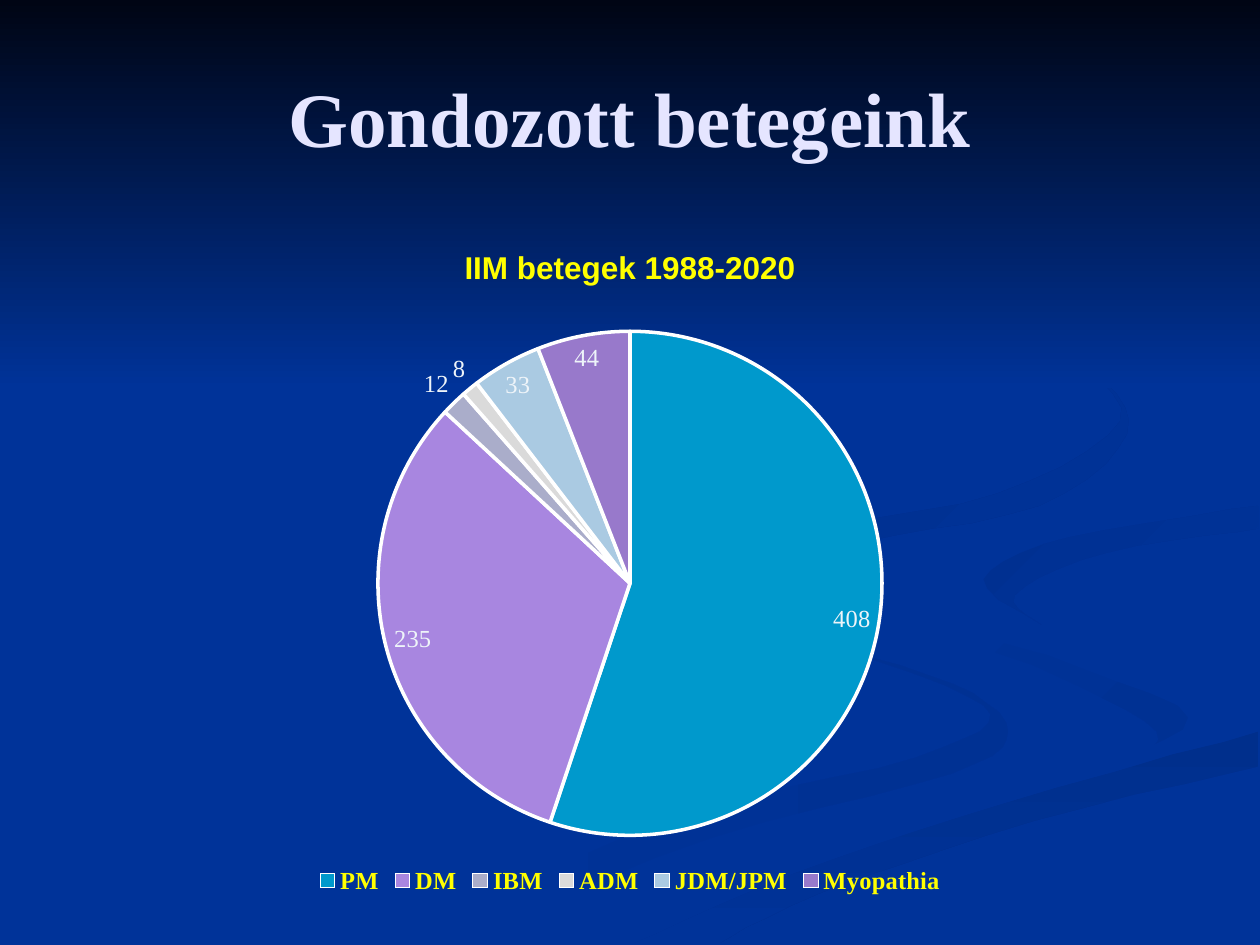
"""Builds the slide with the pie chart of patients in care."""
from pptx import Presentation
from pptx.chart.data import CategoryChartData
from pptx.dml.color import RGBColor
from pptx.enum.chart import XL_CHART_TYPE as Chart, XL_LABEL_POSITION as LabelPos, XL_LEGEND_POSITION as LegendPos
from pptx.enum.shapes import MSO_SHAPE as Shape
from pptx.enum.text import MSO_ANCHOR as Anchor, PP_ALIGN as Align
from pptx.util import Pt

WIDTH, HEIGHT = 720, 540
STEPS = 5
BLUE = "003399"
SERIF, SANS = "Times New Roman", "Arial"
TITLE = "Gondozott betegeink"
CHART_TITLE = "IIM betegek 1988-2020"
PATIENTS = [
    ("PM", 408, "0099CC"),
    ("DM", 235, "A886E0"),
    ("IBM", 12, "AAADCA"),
    ("ADM", 8, "DADADA"),
    ("JDM/JPM", 33, "AACAE2"),
    ("Myopathia", 44, "9879CB"),
]
FONTS = {
    "title": dict(name=SERIF, size=Pt(44), bold=True, color="E5E5FF"),
    "chart": dict(name=SERIF, size=Pt(10), color="FFFFFF"),
    "chart title": dict(name=SANS, size=Pt(18), bold=True, color="FFFF00"),
    "legend": dict(name=SERIF, size=Pt(14), bold=True, color="FFFF00"),
    "labels": dict(name=SERIF, size=Pt(14), bold=False, color="EEF4F9"),
}
SHARED_EDGE = [(362, 539), (454, 499), (574, 459), (719, 418)]
SWOOSHES = [
    (BLUE, "003193", 0, [
        [(414, 330), (420, 343), (462, 365), (545, 391), (576, 418), (544, 442), (406, 479), (260, 539)],
        [(216, 539), (388, 467), (523, 433), (566, 408), (514, 382), (433, 356), (410, 337)],
    ]),
    (BLUE, "003193", 45, [
        [(521, 334), (546, 359), (626, 382), (679, 410), (644, 436)],
        [(644, 436), (661, 418), (603, 386), (537, 360), (521, 334)],
    ]),
    ("002F8C", BLUE, 90, [
        [(411, 539), (467, 511), (591, 469), (719, 438)],
        SHARED_EDGE[::-1],
    ]),
    (BLUE, BLUE, 0, [
        SHARED_EDGE,
        [(719, 387), (624, 366), (562, 333), (612, 307), (719, 289)],
        [(719, 279), (582, 300), (522, 334), (598, 374), (679, 410), (607, 445), (446, 492), (343, 539)],
    ]),
    ("003091", BLUE, 45, [
        [(595, 357), (580, 340), (632, 316), (719, 302)],
        [(719, 289), (611, 307), (562, 331), (595, 357)],
    ]),
    ("002F8E", BLUE, 45, [
        [(549, 168), (622, 210), (644, 248), (594, 289), (492, 310), (427, 338), (448, 360)],
        [(448, 360), (415, 333), (459, 304), (570, 282), (640, 241), (609, 201), (549, 168)],
    ]),
]


def paint(target, color):
    target.solid()
    target.fore_color.rgb = RGBColor.from_string(color)


def set_font(font, style):
    for key, value in FONTS[style].items():
        if key == "color":
            font.color.rgb = RGBColor.from_string(value)
        else:
            setattr(font, key, value)


def shade(sp, start, end, angle):
    sp.shadow.inherit = False
    sp.line.fill.background()
    if start == end:
        paint(sp.fill, start)
        return
    sp.fill.gradient()
    sp.fill.gradient_angle = -angle % 360
    for stop, color, position in zip(sp.fill.gradient_stops, (start, end), (0, 1)):
        stop.color.rgb = RGBColor.from_string(color)
        stop.position = position


def blend(a, b, c, d, t):
    return b + t * (c - a + t * (2 * a - 5 * b + 4 * c - d + t * (3 * (b - c) + d - a))) / 2


def smooth(edge):
    padded = [edge[0], *edge, edge[-1]]
    curve = [
        tuple(blend(*axis, step / STEPS) for axis in zip(*padded[i:i + 4]))
        for i in range(len(edge) - 1)
        for step in range(STEPS)
    ]
    return curve + [edge[-1]]


def add_background(s):
    paint(s.background.fill, BLUE)
    for start, end, angle, edges in SWOOSHES:
        points = [point for edge in edges for point in smooth(edge)]
        builder = s.shapes.build_freeform(*points[0], scale=Pt(1))
        builder.add_line_segments(points[1:], close=True)
        shade(builder.convert_to_shape(), start, end, angle)
    band = s.shapes.add_shape(Shape.RECTANGLE, 0, 0, Pt(WIDTH), Pt(222))
    shade(band, "000514", BLUE, 90)


def add_title(s):
    tf = s.shapes.add_textbox(Pt(36), Pt(21.6), Pt(648), Pt(90)).text_frame
    tf.word_wrap = True
    tf.vertical_anchor = Anchor.MIDDLE
    p = tf.paragraphs[0]
    p.alignment = Align.CENTER
    r = p.add_run()
    r.text = TITLE
    set_font(r.font, "title")


def add_pie(s):
    names, counts, colors = zip(*PATIENTS)
    data = CategoryChartData()
    data.categories = names
    data.add_series("Series 1", counts)
    chart = s.shapes.add_chart(Chart.PIE, Pt(36), Pt(126), Pt(648), Pt(388), data).chart
    set_font(chart.font, "chart")

    chart.has_title = True
    r = chart.chart_title.text_frame.paragraphs[0].add_run()
    r.text = CHART_TITLE
    set_font(r.font, "chart title")

    chart.has_legend = True
    chart.legend.position = LegendPos.BOTTOM
    chart.legend.include_in_layout = False
    set_font(chart.legend.font, "legend")

    plot = chart.plots[0]
    plot.vary_by_categories = True
    series = plot.series[0]
    for i, color in enumerate(colors):
        fmt = series.points[i].format
        paint(fmt.fill, color)
        paint(fmt.line.fill, "FFFFFF")
        fmt.line.width = Pt(2)
    labels = series.data_labels
    labels.show_value = True
    labels.position = LabelPos.BEST_FIT
    set_font(labels.font, "labels")


def main():
    prs = Presentation()
    prs.slide_width, prs.slide_height = Pt(WIDTH), Pt(HEIGHT)
    s = prs.slides.add_slide(prs.slide_layouts[6])
    add_background(s)
    add_title(s)
    add_pie(s)
    prs.save("out.pptx")


if __name__ == "__main__":
    main()
